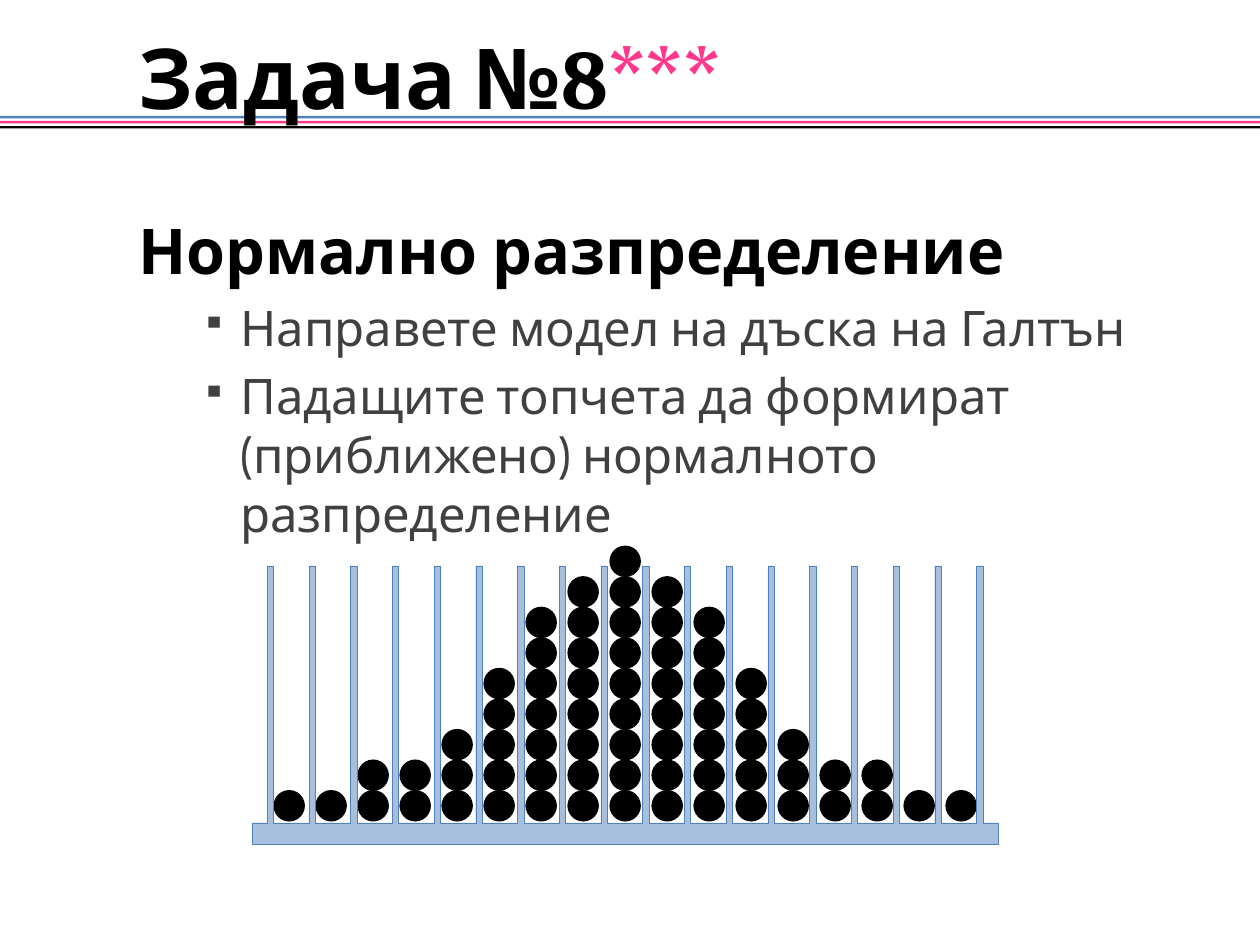
from dataclasses import dataclass

from lxml import etree
from pptx import Presentation
from pptx.dml.color import RGBColor
from pptx.enum import shapes, text
from pptx.oxml import ns
from pptx.util import Inches, Pt


@dataclass(frozen=True)
class Theme:
    blue: str = "4F81BD"
    pink: str = "FF388C"
    black: str = "000000"
    gray: str = "404040"
    font: str = "Cabin"
    digit: str = "Cambria"
    title: int = 48
    head: int = 36
    item: int = 28


T = Theme()
BALLS = [1, 1, 2, 2, 3, 5, 7, 8, 9, 8, 7, 5, 3, 2, 2, 1, 1]


def add_tag(node, name, **attrs):
    return etree.SubElement(node, ns.qn(name), attrs)


def add_run(para, words, size=T.item, color=T.black, font=T.font, bold=False):
    run = para.add_run()
    run.text = words
    run.font.size = Pt(size)
    run.font.name = font
    run.font.bold = bold
    run.font.color.rgb = RGBColor.from_string(color)


def add_solid(slide, kind, left, top, width, height, color):
    shape = slide.shapes.add_shape(
        kind, Inches(left), Inches(top), Inches(width), Inches(height))
    shape.shadow.inherit = False
    shape.fill.solid()
    shape.fill.fore_color.rgb = RGBColor.from_string(color)
    shape.line.fill.background()


def add_bands(slide):
    for row, color in enumerate((T.blue, T.pink, T.black)):
        add_solid(slide, shapes.MSO_SHAPE.RECTANGLE,
                  -0.08, 0.92 + 0.04 * row, 10.17, 0.02, color)


def set_title(slide):
    title = slide.shapes.title
    title.left, title.top = Inches(0), Inches(0.25)
    title.width, title.height = Inches(10), Inches(0.71)
    frame = title.text_frame
    frame.auto_size = text.MSO_AUTO_SIZE.NONE
    frame.vertical_anchor = text.MSO_ANCHOR.MIDDLE
    para = frame.paragraphs[0]
    para.alignment = text.PP_ALIGN.LEFT
    props = para._p.get_or_add_pPr()
    props.set("marL", str(Inches(1)))
    props.set("indent", "0")
    add_run(para, "Задача №", size=T.title, bold=True)
    add_run(para, "8", size=T.title, font=T.digit, bold=True)
    add_run(para, "***", size=T.title, color=T.pink, bold=True)
    # Letters that hang below the line stay in front of the header bands
    slide.shapes._spTree.append(title._element)


def set_bullet(para):
    props = para._p.get_or_add_pPr()
    props.set("marL", str(Inches(0.81)))
    props.set("indent", str(Inches(-0.31)))
    add_tag(add_tag(props, "a:buClr"), "a:srgbClr", val=T.gray)
    add_tag(props, "a:buSzPct", val="70000")
    add_tag(props, "a:buChar", char="▪")


def add_body(slide, head, items):
    box = slide.shapes.add_textbox(
        Inches(1), Inches(1.33), Inches(8.92), Inches(6.08))
    frame = box.text_frame
    frame.word_wrap = True
    para = frame.paragraphs[0]
    para.line_spacing = 1.5
    para.space_before = Pt(0.2 * T.head)
    add_run(para, head, size=T.head, bold=True)
    for item in items:
        para = frame.add_paragraph()
        para.level = 1
        para.space_before = Pt(0.2 * T.item)
        set_bullet(para)
        add_run(para, item, color=T.gray)


def add_balls(slide):
    for col, count in enumerate(BALLS):
        for row in range(count):
            add_solid(slide, shapes.MSO_SHAPE.OVAL, 2.17 + col / 3,
                      6.27 - 0.97 / 4 * row, 0.25, 0.25, T.black)


def add_board(slide):
    """Draw the base and one wall on each side of every ball column."""
    top, floor, base = 4.49, 6.53, 6.7
    step = 5.63 / len(BALLS)
    points = [(2, base), (2, floor)]
    for wall in range(len(BALLS) + 1):
        left = 2.12 + step * wall
        right = left + 0.05
        points += [(left, floor), (left, top), (right, top), (right, floor)]
    points += [(7.92, floor), (7.92, base)]
    first, *rest = [(Inches(x), Inches(y)) for x, y in points]
    pen = slide.shapes.build_freeform(*first)
    pen.add_line_segments(rest, close=True)
    board = pen.convert_to_shape()
    board.shadow.inherit = False
    board.fill.solid()
    board.fill.fore_color.rgb = RGBColor.from_string(T.blue)
    tint = board._element.spPr.find(ns.qn("a:solidFill"))[0]
    add_tag(tint, "a:alpha", val="50000")
    board.line.color.rgb = RGBColor.from_string(T.blue)
    board.line.width = Pt(0.25)


def main():
    deck = Presentation()
    deck.slide_width, deck.slide_height = Inches(10), Inches(7.5)
    slide = deck.slides.add_slide(deck.slide_layouts.get_by_name("Title Only"))
    add_bands(slide)
    set_title(slide)
    add_body(slide, "Нормално разпределение", [
        "Направете модел на дъска на Галтън",
        "Падащите топчета да формират (приближено) "
        "нормалното разпределение",
    ])
    add_balls(slide)
    add_board(slide)
    deck.save("out.pptx")


if __name__ == "__main__":
    main()
